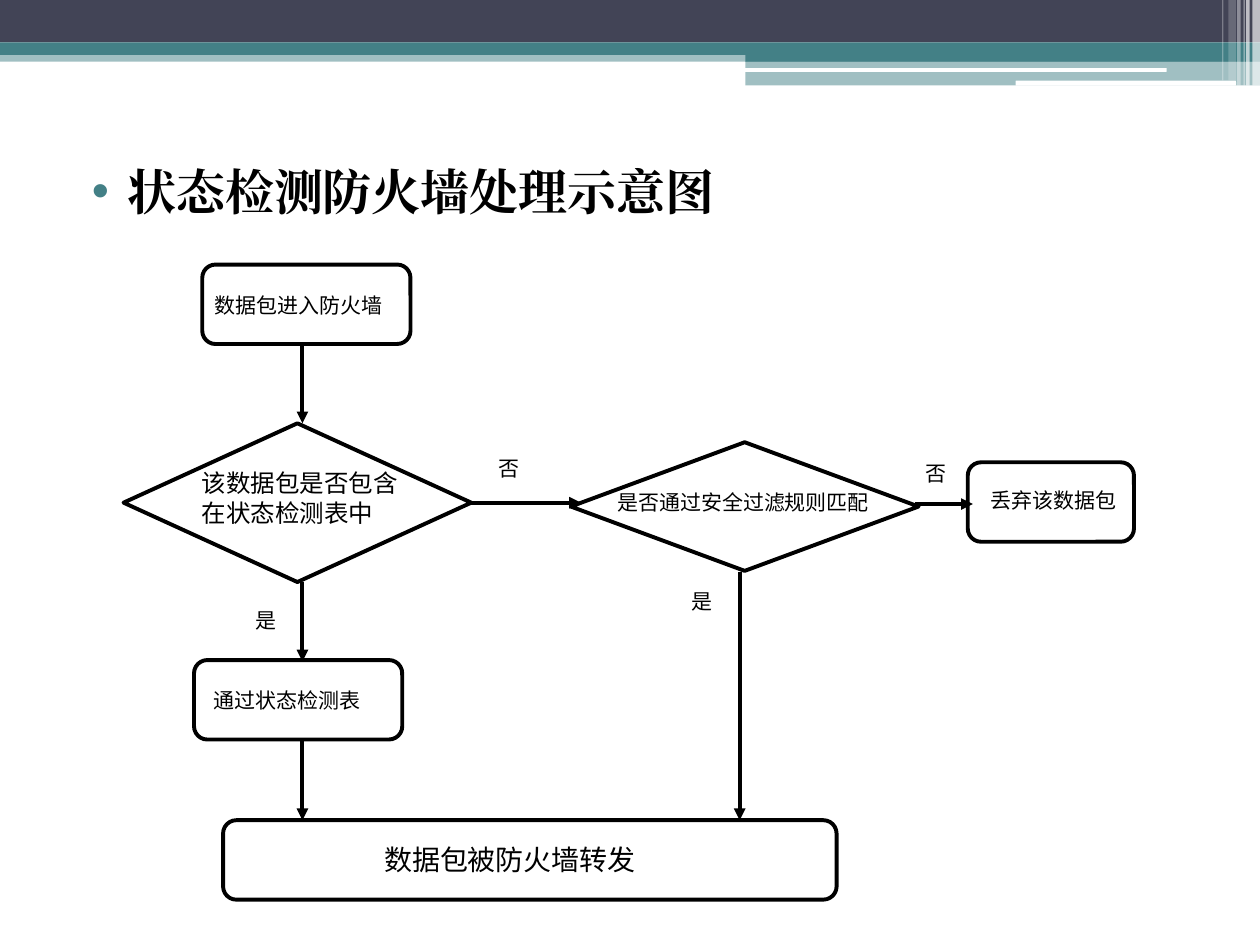
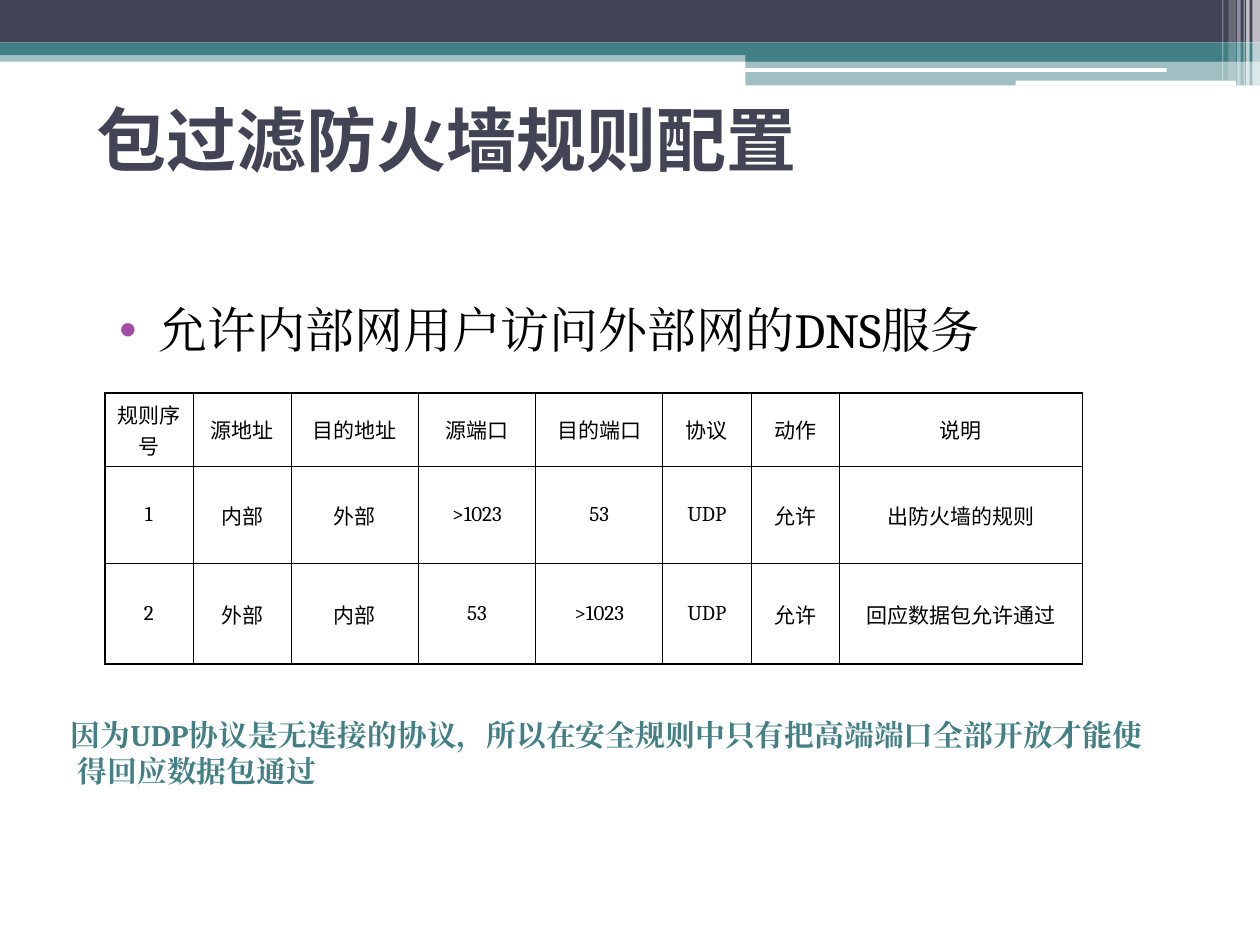
import pptx
import pptx.util
from pptx.dml.color import RGBColor
from pptx.enum.dml import MSO_LINE
from pptx.enum.shapes import MSO_CONNECTOR, MSO_SHAPE
from pptx.enum.text import MSO_ANCHOR, MSO_AUTO_SIZE, PP_ALIGN
from pptx.oxml.ns import qn
from lxml import etree

Pt = pptx.util.Pt

DARK = RGBColor(0x42, 0x44, 0x56)
TEAL = RGBColor(0x43, 0x80, 0x86)
PURPLE = RGBColor(0xA0, 0x4D, 0xA3)
BLACK = RGBColor(0, 0, 0)
WHITE = RGBColor(0xFF, 0xFF, 0xFF)

SERIF, SANS = "Cambria", "Roboto"
RECT, ROUND, DIAMOND = MSO_SHAPE.RECTANGLE, MSO_SHAPE.ROUNDED_RECTANGLE, MSO_SHAPE.DIAMOND

HEAD = {"name": SANS, "size": Pt(40), "bold": True}
TOPIC = {"name": SERIF, "size": Pt(28), "bold": True}
POINT = {"name": SERIF, "size": Pt(28)}
NOTE = {"name": SERIF, "size": Pt(17), "bold": True}
CELL = {"name": SERIF, "size": Pt(12)}
FRAME = {"word_wrap": True, "auto_size": MSO_AUTO_SIZE.NONE,
         "margin_left": Pt(7.2), "margin_right": Pt(7.2),
         "margin_top": Pt(3.6), "margin_bottom": Pt(3.6)}

# kind, box, colour, opacity in percent
BANDS = [
    (RECT, (0, 28.8, 720, 6.5), TEAL, 50),
    (RECT, (0, 0, 720, 24.2), DARK, 100),
    (RECT, (0, 24.2, 720, 7.2), TEAL, 100),
    (RECT, (426, 28.1, 294, 7.2), TEAL, 100),
    (RECT, (426, 34.9, 294, 14), TEAL, 50),
    (ROUND, (425.5, 38.9, 241.2, 2.2), WHITE, 100),
    (ROUND, (580.3, 46.1, 126, 2.9), WHITE, 100),
    (RECT, (715.7, 0, 4.3, 49), WHITE, 65),
    (RECT, (712.1, 0, 2, 49), WHITE, 65),
    (RECT, (710.6, 0, 0.7, 49), WHITE, 60),
    (RECT, (707, 0, 2, 49), WHITE, 40),
    (RECT, (702, 0, 4.3, 46), WHITE, 20),
    (RECT, (698.4, 0, 0.7, 46), WHITE, 30),
]


def assign(thing, values):
    for key, value in values.items():
        setattr(thing, key, value)


def points(box):
    return [Pt(n) for n in box]


def child(node, tag, **attrs):
    return etree.SubElement(node, qn(tag), attrs)


def write(frame, text, font, color=BLACK, asian=True):
    """Fill the first paragraph; asian sets the same font for Chinese text."""
    para = frame.paragraphs[0]
    para.alignment = PP_ALIGN.LEFT
    run = para.add_run()
    run.text = text
    assign(run.font, font)
    run.font.color.rgb = color
    if asian:
        child(run._r.get_or_add_rPr(), "a:ea", typeface=font["name"])
    return para


def hang(para, left, first, dot=None):
    """Set the indent in points, and a bullet in colour dot if given."""
    props = para._p.get_or_add_pPr()
    props.set("marL", str(Pt(left)))
    props.set("indent", str(Pt(first)))
    if dot is not None:
        child(child(props, "a:buClr"), "a:srgbClr", val=str(dot))
        child(props, "a:buFont", typeface="Arial")
        child(props, "a:buChar", char="•")


def textbox(slide, box, text, font, color=BLACK):
    frame = slide.shapes.add_textbox(*points(box)).text_frame
    assign(frame, FRAME)
    return write(frame, text, font, color)


def title(slide, box, text, font, color, anchor):
    shape = slide.shapes.title
    assign(shape, dict(zip(("left", "top", "width", "height"), points(box))))
    assign(shape.text_frame, FRAME)
    shape.text_frame.vertical_anchor = anchor
    return write(shape.text_frame, text, font, color)


def bands(slide):
    for kind, box, color, alpha in BANDS:
        band = slide.shapes.add_shape(kind, *points(box))
        band.shadow.inherit = False
        band.line.fill.background()
        band.fill.solid()
        band.fill.fore_color.rgb = color
        if alpha < 100:
            tint = band._element.spPr.find(qn("a:solidFill"))[0]
            child(tint, "a:alpha", val=str(alpha * 1000))


def stroke(line):
    line.color.rgb = BLACK
    line.width = Pt(2.25)
    line.dash_style = MSO_LINE.SOLID


def step(slide, kind, box, text, offset, size=12):
    """Draw a flow step; offset is the label's x, y, width, height inside it."""
    shape = slide.shapes.add_shape(kind, *points(box))
    shape.shadow.inherit = False
    shape.fill.background()
    stroke(shape.line)
    dx, dy, wide, high = offset
    textbox(slide, (box[0] + dx, box[1] + dy, wide, high), text,
            {"name": SANS, "size": Pt(size)})
    return shape


def arrow(slide, start, end):
    link = slide.shapes.add_connector(MSO_CONNECTOR.STRAIGHT, *points(start + end))
    stroke(link.line)
    child(link.line._get_or_add_ln(), "a:tailEnd", type="triangle")
    child(link._element.spPr, "a:effectLst")
    return link


def flow(slide, left, top):
    """Draw the flow chart with its corner at left, top."""
    def at(x, y, *size):
        return (left + x, top + y) + size

    step(slide, ROUND, at(45, 0, 119, 45.4), "数据包进入防火墙", (0, 12.2, 113, 21.6))
    known = step(slide, DIAMOND, at(0, 90.7, 198.7, 90.7), "该数据包是否包含在状态检测表中",
                 (37.5, 22.3, 136, 41), 14)
    step(slide, DIAMOND, at(255.6, 101.5, 198.7, 73.5), "是否通过安全过滤规则匹配",
         (19.4, 23.7, 170, 21.6))
    step(slide, ROUND, at(482.4, 113, 95, 45.4), "丢弃该数据包", (5.8, 10.8, 113, 21.6))
    step(slide, ROUND, at(40.3, 226, 119, 45.4), "通过状态检测表", (4.3, 12.2, 113, 21.6))
    step(slide, ROUND, at(56.9, 317.5, 350.6, 45.4), "数据包被防火墙转发",
         (85, 9.4, 209.5, 26.6), 16)

    trunk, side, level = 102.2, 352.1, 136.8
    for x, y, end in [(trunk, 45.4, 90.7), (trunk, 181.4, 226.8),
                      (trunk, 272, 317.5), (side, 175.7, 317.5)]:
        arrow(slide, at(x, y), at(x, end))
    link = arrow(slide, at(198.7, 136.05), at(261.4, 136.05))
    link.begin_connect(known, 3)
    arrow(slide, at(452.2, level), at(485.3, level))

    for x, y, word in [(68.4, 192.2, "是"), (207.4, 105.8, "否"),
                       (317.5, 181.4, "是"), (451.4, 108.7, "否")]:
        textbox(slide, at(x, y, 33.8, 21.6), word, {"name": SANS, "size": Pt(12)})


def border(cell, row, col, rows, cols):
    """Thick lines on the table's outer edges, thin ones within."""
    props = cell._tc.get_or_add_tcPr()
    edges = {"L": col == 0, "R": col == cols - 1, "T": row == 0, "B": row == rows - 1}
    for spot, (name, outer) in enumerate(edges.items()):
        line = etree.Element(qn("a:ln" + name), w=str(Pt(1.08 if outer else 0.45)))
        child(child(line, "a:solidFill"), "a:srgbClr", val=str(BLACK))
        props.insert(spot, line)


def rules(slide, left, top):
    """Build the rule table with its corner at left, top."""
    data = [
        ["规则序号", "源地址", "目的地址", "源端口", "目的端口", "协议", "动作", "说明"],
        ["1", "内部", "外部", ">1023", "53", "UDP", "允许", "出防火墙的规则"],
        ["2", "外部", "内部", "53", ">1023", "UDP", "允许", "回应数据包允许通过"],
    ]
    widths = [50.4, 56.2, 72.7, 67, 72.7, 50.4, 50.4, 139]
    heights = [38.9, 55.4, 57.6]
    rows, cols = len(heights), len(widths)
    table = slide.shapes.add_table(rows, cols, *points(
        (left, top, sum(widths), sum(heights)))).table
    assign(table, {"first_row": False, "horz_banding": False})
    for column, width in zip(table.columns, widths):
        column.width = Pt(width)
    for row, height in enumerate(heights):
        table.rows[row].height = Pt(height)
        for col, text in enumerate(data[row]):
            cell = table.cell(row, col)
            cell.fill.background()
            cell.vertical_anchor = MSO_ANCHOR.MIDDLE
            para = write(cell.text_frame, text, CELL, asian=False)
            para.alignment = PP_ALIGN.CENTER
            border(cell, row, col, rows, cols)


def flow_slide(slide):
    bands(slide)
    para = title(slide, (36.7, 88.6, 668, 50), "状态检测防火墙处理示意图",
                 TOPIC, BLACK, MSO_ANCHOR.TOP)
    hang(para, 28.8, -20.2, TEAL)
    flow(slide, 70.6, 151.2)


def rule_slide(slide):
    bands(slide)
    title(slide, (48.2, 54.7, 548.6, 49), "包过滤防火墙规则配置",
          HEAD, DARK, MSO_ANCHOR.MIDDLE)
    rules(slide, 59.8, 224.6)
    para = textbox(slide, (25.2, 167.8, 668, 62), "允许内部网用户访问外部网的DNS服务", POINT)
    hang(para, 58.3, -22.3, PURPLE)
    para = textbox(slide, (-14.4, 406, 679.7, 62),
                   "因为UDP协议是无连接的协议，所以在安全规则中只有把高端端口全部开放才能使得回应数据包通过",
                   NOTE, TEAL)
    hang(para, 51.8, -4)


def main():
    deck = pptx.Presentation()
    deck.slide_width, deck.slide_height = Pt(720), Pt(540)
    for fill in (flow_slide, rule_slide):
        fill(deck.slides.add_slide(deck.slide_layouts[5]))
    deck.save("out.pptx")


if __name__ == "__main__":
    main()
